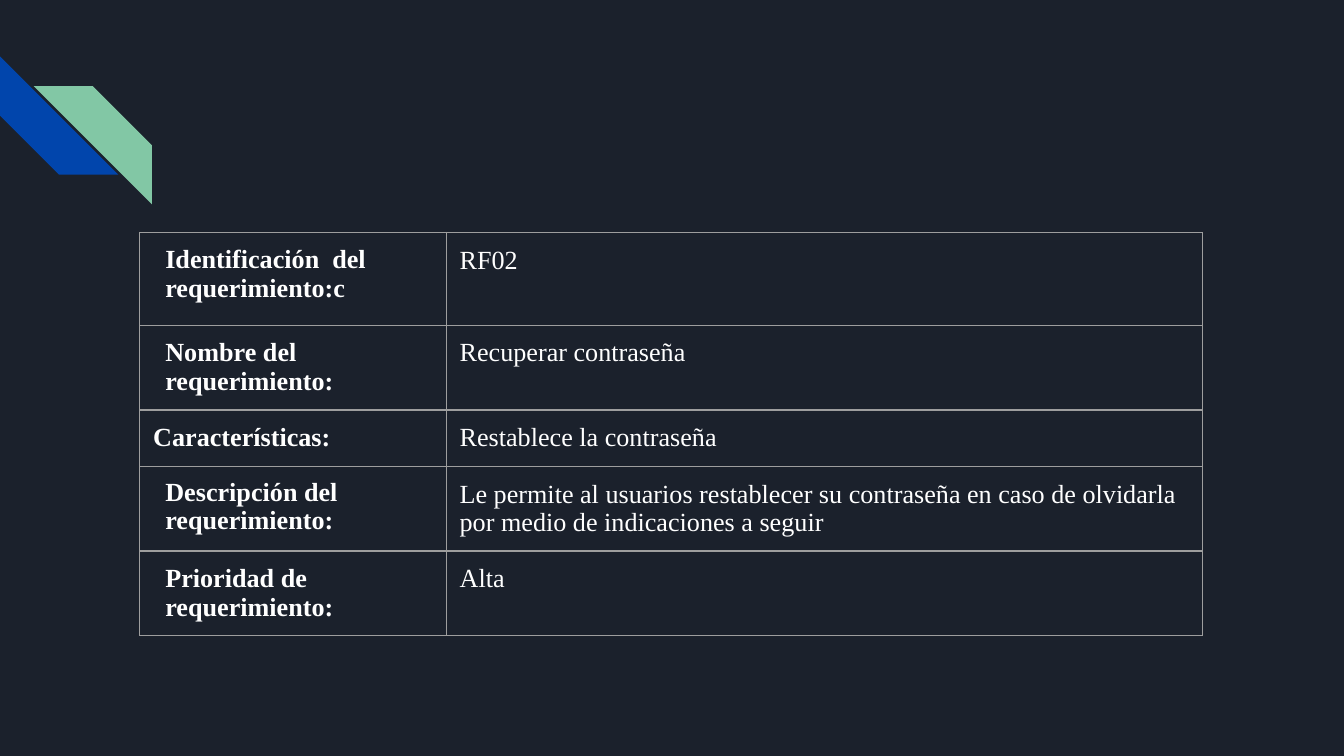
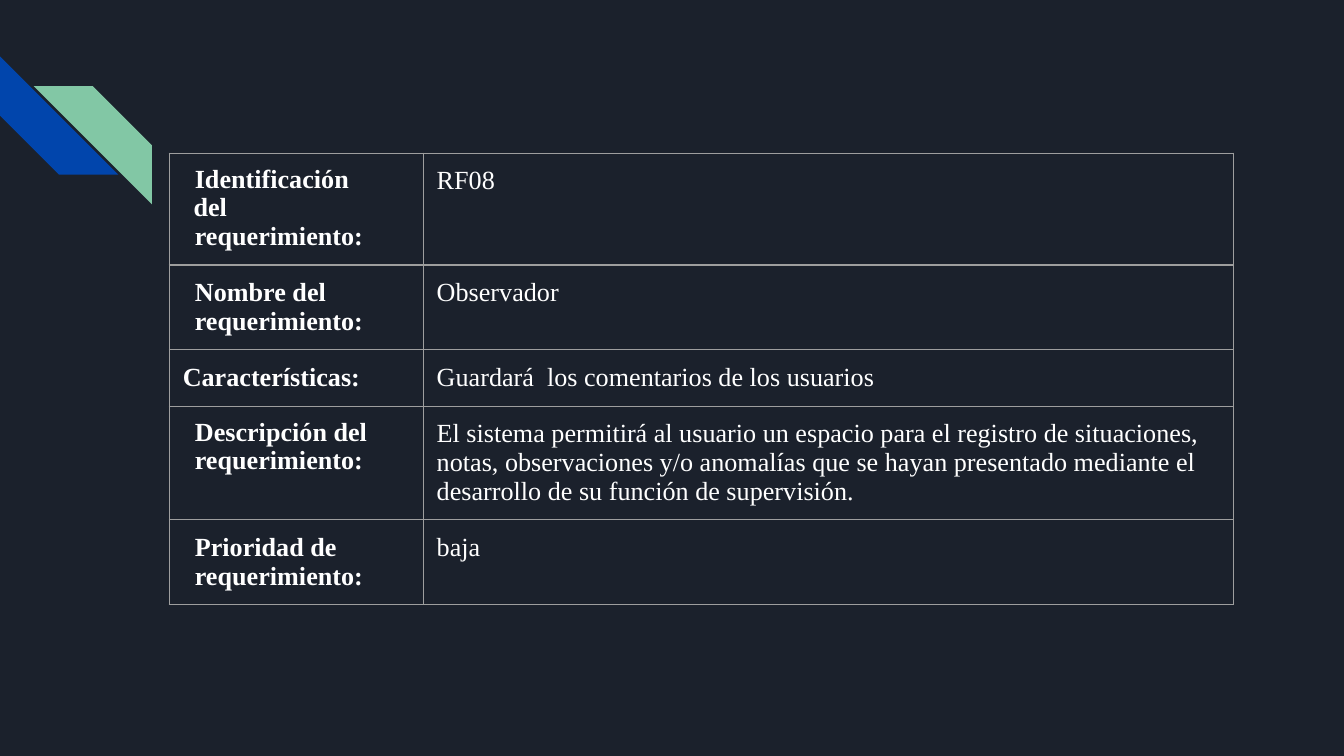
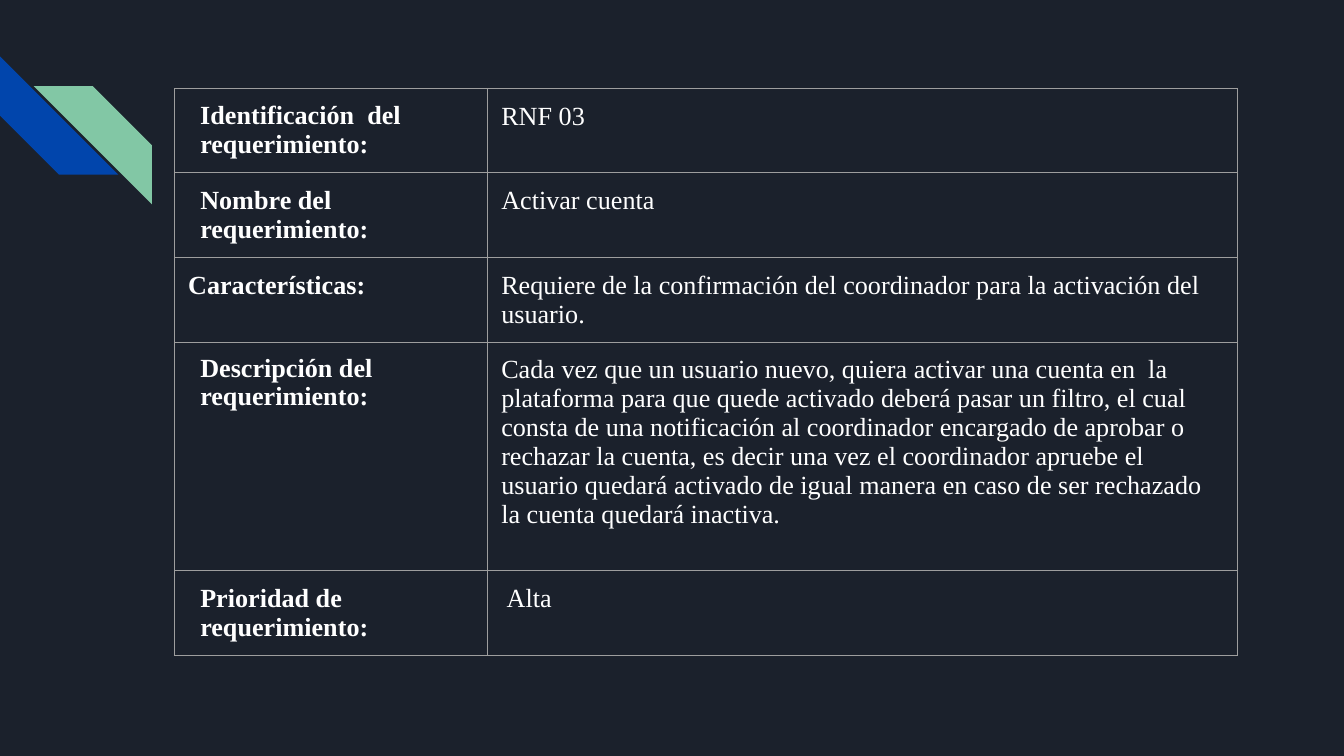
from dataclasses import dataclass

from lxml import etree
from pptx import Presentation
from pptx import util as u
from pptx.dml.color import RGBColor
from pptx.enum import shapes
from pptx.oxml.ns import qn


@dataclass(frozen=True)
class Theme:
    background: str = "1B212C"
    blue: str = "0145AC"
    green: str = "82C7A5"
    border: str = "9E9E9E"
    text: str = "FFFFFF"
    font: str = "Times New Roman"
    size: int = 14
    border_width: float = 0.75
    cell_margin: float = 0.1


THEME = Theme()
BLANK_LAYOUT = 6
SLIDE_WIDTH = u.Inches(10)
SLIDE_HEIGHT = SLIDE_WIDTH * 9 // 16
STRIPE_SIZE = 0.88
STRIPES = [
    {"left": 0, "top": 0.42, "color": THEME.blue, "rotation": 270},
    {"left": 0.25, "top": 0.64, "color": THEME.green, "flipped": True},
]

INDENTED = {"left": 0.09}
TIGHT = {"left": 0.09, "line_spacing": 0.96}
HANGING = {"left": 0.08, "first": 0.01, "right": 0.2, "line_spacing": 0.96}
SECOND_LINE = {"left": 0.09, "space_before": u.Pt(0.3)}


def requirement_labels(second_line="requerimiento:"):
    return [
        [("Identificación  del", HANGING), (second_line, SECOND_LINE)],
        [("Nombre del", INDENTED), ("requerimiento:", INDENTED)],
        [("Características:", {})],
        [("Descripción del  requerimiento:", TIGHT)],
        [("Prioridad de", INDENTED), ("requerimiento:", INDENTED)],
    ]


REQUIREMENTS = [
    {
        "place": (1.04, 1.73),
        "columns": (2.28, 5.63),
        "rows": (0.69, 0.42, 0.42, 0.42, 0.42),
        "labels": requirement_labels("requerimiento:c"),
        "values": [
            "RF02",
            "Recuperar contraseña",
            "Restablece la contraseña",
            "Le permite al usuarios restablecer su contraseña en caso de olvidarla "
            "por medio de indicaciones a seguir",
            "Alta",
        ],
    },
    {
        "place": (1.26, 1.14),
        "columns": (1.89, 6.03),
        "rows": (0.67, 0.42, 0.42, 0.83, 0.42),
        "labels": requirement_labels(),
        "values": [
            "RF08",
            "Observador",
            "Guardará  los comentarios de los usuarios",
            "El sistema permitirá al usuario un espacio para el registro de "
            "situaciones, notas, observaciones y/o anomalías que se hayan presentado "
            "mediante el desarrollo de su función de supervisión.",
            "baja",
        ],
    },
    {
        "place": (1.3, 0.66),
        "columns": (2.33, 5.58),
        "rows": (0.51, 0.53, 0.56, 1.7, 0.42),
        "labels": requirement_labels(),
        "values": [
            "RNF 03",
            "Activar cuenta",
            "Requiere de la confirmación del coordinador para la activación del "
            "usuario.",
            "Cada vez que un usuario nuevo, quiera activar una cuenta en  la "
            "plataforma para que quede activado deberá pasar un filtro, el cual "
            "consta de una notificación al coordinador encargado de aprobar o "
            "rechazar la cuenta, es decir una vez el coordinador apruebe el usuario "
            "quedará activado de igual manera en caso de ser rechazado la cuenta "
            "quedará inactiva.",
            "Alta",
        ],
        "priority_format": {"left": 0.04},
    },
]


def apply_format(target, values):
    for name, value in values.items():
        setattr(target, name, value)


def paint(fill, color):
    fill.solid()
    fill.fore_color.rgb = RGBColor.from_string(color)


def add_stripe(page, left, top, color, rotation=0, flipped=False):
    side = u.Inches(STRIPE_SIZE)
    stripe = page.shapes.add_shape(
        shapes.MSO_SHAPE.DIAGONAL_STRIPE, u.Inches(left), u.Inches(top), side, side
    )
    stripe.rotation = rotation
    if flipped:
        stripe._element.spPr.find(qn("a:xfrm")).set("flipH", "1")
    stripe.shadow.inherit = False
    stripe.line.fill.background()
    paint(stripe.fill, color)


def add_borders(cell):
    properties = cell._tc.get_or_add_tcPr()
    for side in ("lnL", "lnR", "lnT", "lnB"):
        line = etree.SubElement(properties, qn(f"a:{side}"))
        line.set("w", str(u.Pt(THEME.border_width)))
        fill = etree.SubElement(line, qn("a:solidFill"))
        etree.SubElement(fill, qn("a:srgbClr")).set("val", THEME.border)


def write_paragraph(para, content, bold, left=0, first=0, right=0, **spacing):
    properties = para._p.get_or_add_pPr()
    for name, length in {"marL": left, "marR": right, "indent": first}.items():
        properties.set(name, str(u.Inches(length)))
    apply_format(para, spacing)
    span = para.add_run()
    span.text = content
    apply_format(
        span.font, {"name": THEME.font, "size": u.Pt(THEME.size), "bold": bold}
    )
    span.font.color.rgb = RGBColor.from_string(THEME.text)


def fill_cell(cell, paragraphs, bold):
    add_borders(cell)
    cell.fill.background()
    margin = u.Inches(THEME.cell_margin)
    apply_format(
        cell, {f"margin_{side}": margin for side in ("left", "right", "top", "bottom")}
    )
    frame = cell.text_frame
    for index, (content, layout) in enumerate(paragraphs):
        para = frame.add_paragraph() if index else frame.paragraphs[0]
        write_paragraph(para, content, bold, **layout)


def add_requirement_table(
    page, place, columns, rows, labels, values, priority_format=None
):
    left, top = place
    table = page.shapes.add_table(
        len(rows),
        len(columns),
        u.Inches(left),
        u.Inches(top),
        u.Inches(sum(columns)),
        u.Inches(sum(rows)),
    ).table
    apply_format(table, {"first_row": False, "horz_banding": False})
    for column, width in zip(table.columns, columns):
        column.width = u.Inches(width)
    for row, height in zip(table.rows, rows):
        row.height = u.Inches(height)
    value_formats = [{}] * (len(values) - 1) + [priority_format or {}]
    for row, label, value, layout in zip(table.rows, labels, values, value_formats):
        fill_cell(row.cells[0], label, True)
        fill_cell(row.cells[1], [(value, layout)], False)


def main():
    deck = Presentation()
    apply_format(deck, {"slide_width": SLIDE_WIDTH, "slide_height": SLIDE_HEIGHT})
    paint(deck.slide_master.background.fill, THEME.background)
    for requirement in REQUIREMENTS:
        page = deck.slides.add_slide(deck.slide_layouts[BLANK_LAYOUT])
        for stripe in STRIPES:
            add_stripe(page, **stripe)
        add_requirement_table(page, **requirement)
    deck.save("out.pptx")


if __name__ == "__main__":
    main()
